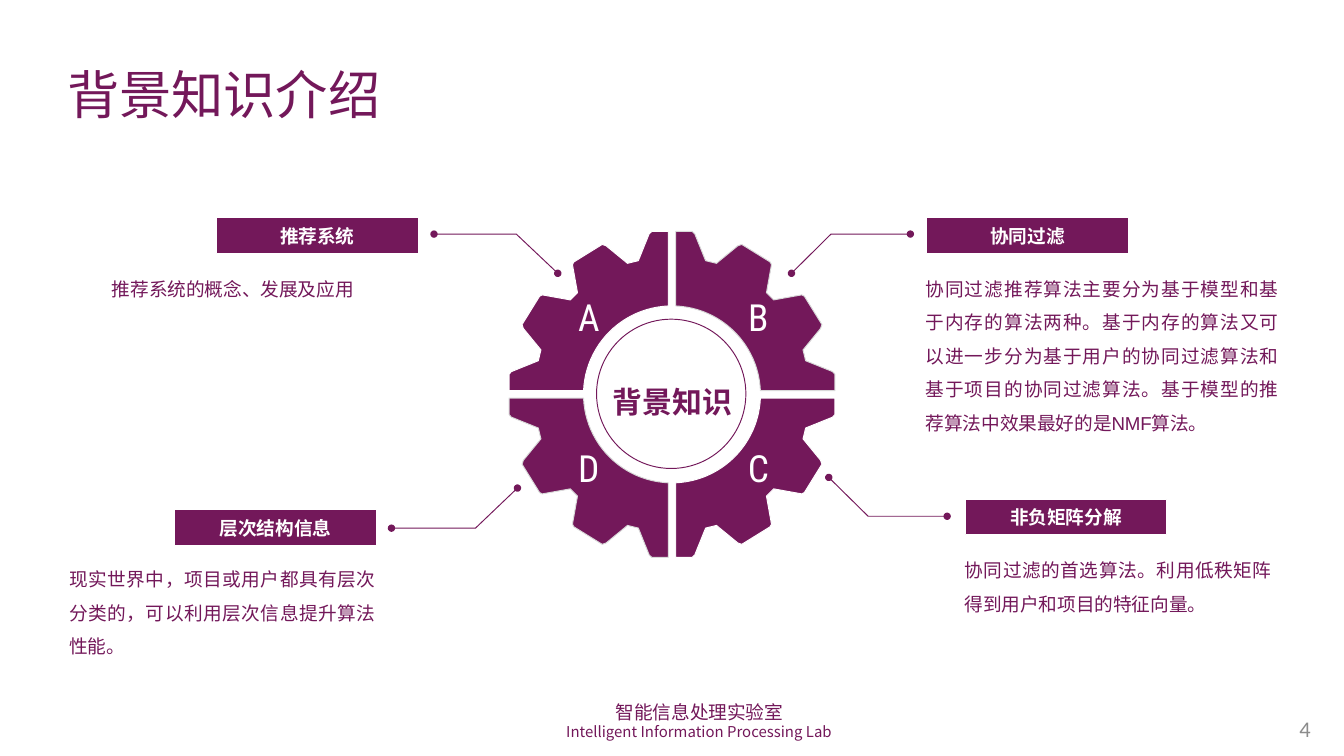
"""Build a slide with a four-part gear, its labels and a footer."""
from dataclasses import dataclass
from math import asin, cos, pi, sin

from lxml.etree import SubElement
from pptx import Presentation
from pptx.dml.color import RGBColor as Rgb
from pptx.enum.shapes import MSO_SHAPE as Kind
from pptx.enum.text import MSO_ANCHOR as Anchor, MSO_AUTO_SIZE as Fit, PP_ALIGN as Align
from pptx.oxml.ns import qn
from pptx.util import Pt

Point = tuple[float, float]
COLORS = {"plum": "73185A", "white": "FFFFFF", "edge": "D9D9D9", "gray": "8C8C8C"}
HEAD = "Roboto Condensed"
MID: Point = (360, 211.3)
HOLE = 47.4
GAP = 2
TEETH: list[Point] = [
    (GAP, 87.3), (10.8, 87.3), (12.2, 86), (18, 71.6), (23.8, 70.2),
    (35.3, 79.6), (37.4, 80.3), (52.6, 70.9), (53.3, 69.5), (50.6, 54.5),
]


@dataclass
class Topic:
    """A heading, its text and the line that leads to the gear."""
    name: str
    body: str
    left: float
    top: float
    start: float
    base: float
    width: float
    height: float
    lead: list[Point]


@dataclass
class Part:
    """A quarter of the gear, turned by its signs."""
    mark: str
    left: float
    top: float
    flip: Point
    edge: str


TOPICS = [
    Topic("推荐系统", "推荐系统的概念、发展及应用", 116, 116.8, 60, 142.6, 164, 18,
          [(298.8, 146.4), (276.6, 125.4), (232.5, 125.4)]),
    Topic("协同过滤", "协同过滤推荐算法主要分为基于模型和基于内存的算法两种。基于内存的算法又可以"
          "进一步分为基于用户的协同过滤算法和基于项目的协同过滤算法。基于模型的推荐算法中"
          "效果最好的是NMF算法。", 496.4, 116.8, 495.9, 142.6, 189, 90.7,
          [(424, 146.4), (445.2, 125.4), (487.7, 125.4)]),
    Topic("层次结构信息", "现实世界中，项目或用户都具有层次分类的，可以利用层次信息提升算法性能。",
          93.6, 273.2, 37.1, 298.3, 164, 54.7,
          [(277.2, 261.5), (254.7, 283), (209.7, 283)]),
    Topic("非负矩阵分解", "协同过滤的首选算法。利用低秩矩阵得到用户和项目的特征向量。",
          517, 267.5, 516.7, 293.4, 164.5, 36,
          [(444, 255.8), (465.1, 276.6), (507.4, 276.6)]),
]
PARTS = [
    Part("A", 302.6, 154.1, (-1, -1), "white"),
    Part("B", 393.6, 154.1, (1, -1), "edge"),
    Part("C", 393.6, 234.7, (1, 1), "white"),
    Part("D", 302.6, 234.7, (-1, 1), "edge"),
]


def tint(name: str) -> Rgb:
    """Look up a colour."""
    return Rgb.from_string(COLORS[name])


def paint(shape, fill: str | None, line: str) -> None:
    """Set the fill and outline of a shape."""
    shape.shadow.inherit = False
    if fill:
        shape.fill.solid()
        shape.fill.fore_color.rgb = tint(fill)
    else:
        shape.fill.background()
    shape.line.color.rgb = tint(line)
    shape.line.width = Pt(0.5)


def style(para, size: float, font: str, color: str, align, bold: bool = False) -> None:
    """Format a paragraph."""
    para.alignment = align
    para.font.size, para.font.name, para.font.bold = Pt(size), font, bold
    para.font.color.rgb = tint(color)


def add_text(slide, box: tuple, text: str, size: float, font: str = HEAD,
             color: str = "plum", align=Align.CENTER, bold: bool = False,
             wrap: bool = False, pad: Point = (7.2, 3.6), space: float = 1):
    """Add a text box and return its frame."""
    frame = slide.shapes.add_textbox(*map(Pt, box)).text_frame
    frame.word_wrap = wrap
    frame.margin_left = frame.margin_right = Pt(pad[0])
    frame.margin_top = frame.margin_bottom = Pt(pad[1])
    frame.text = text
    for para in frame.paragraphs:
        style(para, size, font, color, align, bold)
        para.line_spacing = space
    return frame


def add_form(slide, loop: list[Point], close: bool = True):
    """Add an outline through the given points."""
    first, *rest = [(Pt(x), Pt(y)) for x, y in loop]
    form = slide.shapes.build_freeform(*first, scale=1.0)
    form.add_line_segments(rest, close=close)
    return form.convert_to_shape()


def add_part(slide, part: Part) -> None:
    """Draw a quarter of the gear."""
    low, steps = asin(GAP / HOLE), 24
    turns = [low + (pi / 2 - 2 * low) * i / steps for i in range(steps + 1)]
    arc = [(HOLE * cos(t), HOLE * sin(t)) for t in turns]
    rim = arc + TEETH + [(y, x) for x, y in reversed(TEETH)]
    loop = [(MID[0] + part.flip[0] * x, MID[1] + part.flip[1] * y) for x, y in rim]
    paint(add_form(slide, loop), "plum", part.edge)


def add_topic(slide, topic: Topic) -> None:
    """Draw a heading, its text and its leader."""
    lead = add_form(slide, topic.lead, close=False)
    paint(lead, None, "plum")
    line = lead._element.spPr.find(qn("a:ln"))
    for end in ("a:headEnd", "a:tailEnd"):
        SubElement(line, qn(end), type="oval", w="sm", len="sm")
    add_text(slide, (topic.start, topic.base, topic.width, topic.height), topic.body, 10,
             "Arial", align=Align.JUSTIFY, wrap=True, pad=(0, 0), space=1.5)
    badge = slide.shapes.add_shape(Kind.ROUNDED_RECTANGLE, Pt(topic.left), Pt(topic.top),
                                   Pt(108), Pt(19))
    badge.adjustments[0] = 0
    paint(badge, "plum", "white")
    frame = badge.text_frame
    frame.text = topic.name
    frame.vertical_anchor = Anchor.MIDDLE
    style(frame.paragraphs[0], 10, HEAD, "white", Align.CENTER, True)


def add_title(slide, text: str) -> None:
    """Place and format the title."""
    title = slide.shapes.title
    title.left, title.top, title.width, title.height = map(Pt, (28.8, 29.5, 219.6, 41))
    frame = title.text_frame
    frame.text = text
    frame.auto_size, frame.vertical_anchor = Fit.NONE, Anchor.TOP
    style(frame.paragraphs[0], 28, HEAD, "plum", Align.LEFT)


def main() -> None:
    """Build and save the slide."""
    deck = Presentation()
    deck.slide_width, deck.slide_height = Pt(720), Pt(405)
    slide = deck.slides.add_slide(deck.slide_layouts[5])
    foot = add_text(slide, (294, 371.8, 161.3, 29.5),
                    "智能信息处理实验室\nIntelligent Information Processing Lab",
                    10, "Noto Sans CJK SC")
    foot.paragraphs[1].font.size = Pt(8)
    add_title(slide, "背景知识介绍")
    hub = slide.shapes.add_shape(Kind.OVAL, Pt(319.6), Pt(171), Pt(80), Pt(80))
    paint(hub, None, "plum")
    for part in PARTS:
        add_part(slide, part)
    for part in PARTS:
        add_text(slide, (part.left, part.top, 25.5, 31.5), part.mark, 20, color="white")
    add_text(slide, (321, 195.8, 78.5, 28.8), "背景知识", 16, bold=True,
             pad=(7.2, 0), space=1.5)
    for topic in TOPICS:
        add_topic(slide, topic)
    page = add_text(slide, (671.8, 379.4, 37.4, 21.6), "4", 12, "Calibri", "gray",
                    Align.RIGHT, wrap=True)
    page.vertical_anchor = Anchor.MIDDLE
    deck.save("out.pptx")


if __name__ == "__main__":
    main()
